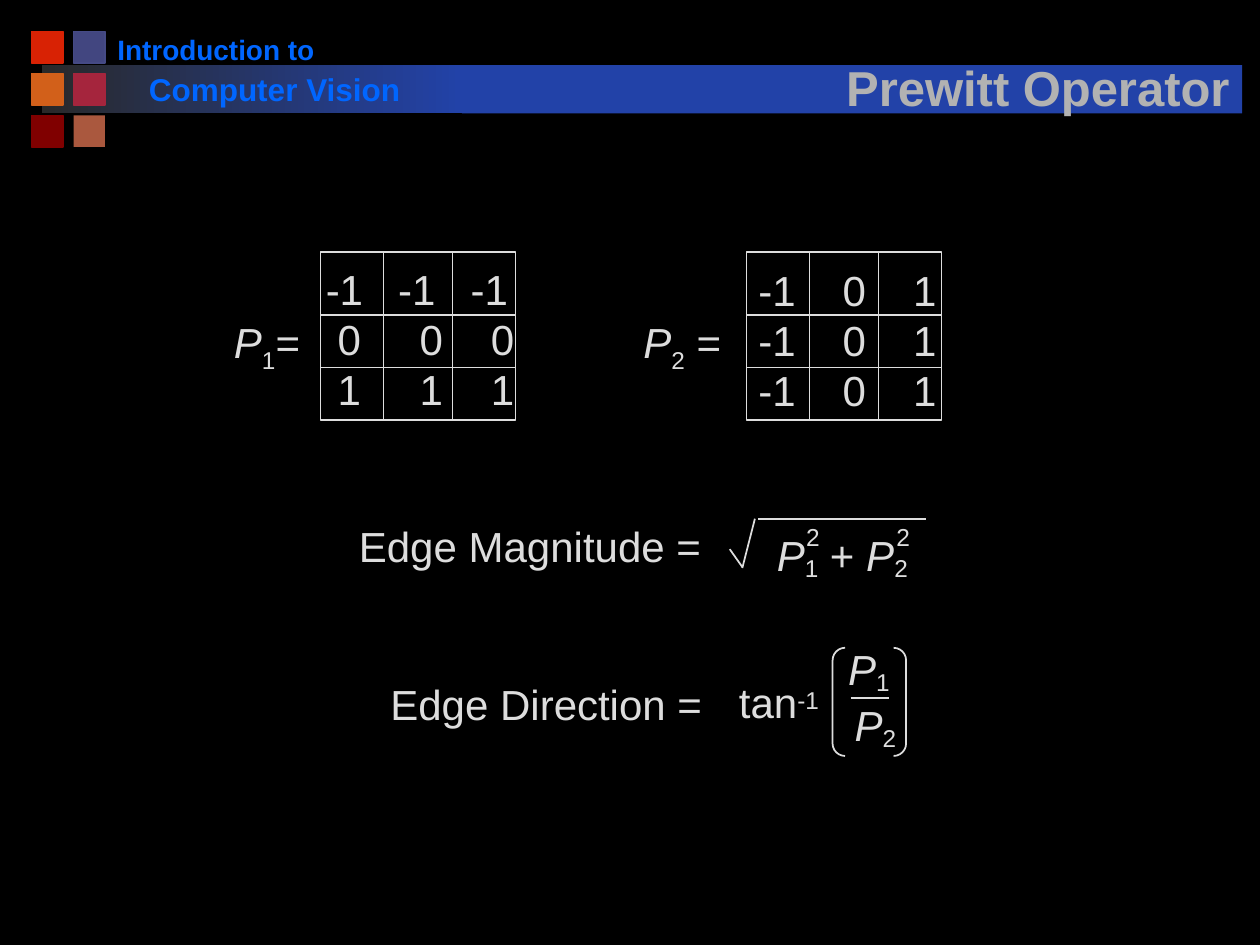
from lxml import etree
from pptx import Presentation
from pptx import util as u
from pptx.dml.color import RGBColor
from pptx.enum import shapes, text
from pptx.oxml.ns import qn

COLORS = {
    "background": "000000", "ink": "DDDDDD", "title": "B2B2B2", "course": "0066FF",
    "band": "2242A8", "band_start": "292929",
}
# Fill and outline of the header squares, row by row
SQUARES = [
    [("D82204", "D82204"), ("424680", "454A85")],
    [("D2601A", "D2601A"), ("A5253D", "A5253D")],
    [("800000", "800000"), ("AA583E", None)],
]
FONT = "Arial"
COLUMNS, ROWS = 120, 90
WIDTH, HEIGHT = u.Inches(10), u.Inches(7.5)

MAIN = {}
ITALIC = {"italic": True}


def across(columns):
    return round(WIDTH * columns / COLUMNS)


def down(rows):
    return round(HEIGHT * rows / ROWS)


def place(box):
    left, top, width, height = box
    return across(left), down(top), across(width), down(height)


def rgb(value):
    return RGBColor.from_string(value)


def add_block(slide, box, fill=None, line=None, weight=1, kind=shapes.MSO_SHAPE.RECTANGLE):
    shape = slide.shapes.add_shape(kind, *place(box))
    shape.shadow.inherit = False
    if fill:
        shape.fill.solid()
        shape.fill.fore_color.rgb = rgb(fill)
    else:
        shape.fill.background()
    if line:
        shape.line.color.rgb = rgb(line)
        shape.line.width = u.Pt(weight)
    else:
        shape.line.fill.background()
    return shape


def add_line(slide, x1, y1, x2, y2, weight=1):
    connector = slide.shapes.add_connector(
        shapes.MSO_CONNECTOR.STRAIGHT, across(x1), down(y1), across(x2), down(y2))
    connector.line.color.rgb = rgb(COLORS["ink"])
    connector.line.width = u.Pt(weight)
    etree.SubElement(connector._element.spPr, qn("a:effectLst"))


def add_run(paragraph, words, size=24, color="ink", bold=False, italic=False, baseline=0):
    run = paragraph.add_run()
    run.text = words
    run.font.name = FONT
    run.font.size = u.Pt(size)
    run.font.bold = bold
    run.font.italic = italic
    run.font.color.rgb = rgb(COLORS[color])
    if baseline:
        run.font._element.set("baseline", str(baseline * 1000))
    return run


def add_text(slide, box, runs, wrap=False):
    """Place one line of text; runs are (words, style) pairs."""
    shape = slide.shapes.add_textbox(*place(box))
    frame = shape.text_frame
    frame.word_wrap = wrap
    frame.auto_size = text.MSO_AUTO_SIZE.SHAPE_TO_FIT_TEXT
    for words, style in runs:
        add_run(frame.paragraphs[0], words, **style)
    return shape


def symbol(index, baseline):
    return [("P", ITALIC), (index, {"baseline": baseline})]


def add_text_shadow(run):
    effects = etree.SubElement(run.font._element, qn("a:effectLst"))
    shadow = etree.SubElement(effects, qn("a:outerShdw"), dist="35921", dir="2700000")
    etree.SubElement(shadow, qn("a:srgbClr"), val=COLORS["background"])
    fill = run.font._element.find(qn("a:solidFill"))
    fill.addnext(effects)


def header(slide, left, top):
    # Fading start of the band
    fade = add_block(slide, (left + 1, top + 3.2, 40, 4.6), COLORS["band"])
    fade.fill.gradient()
    fade.fill.gradient_angle = 0
    for stop, name in zip(fade.fill.gradient_stops, ("band_start", "band")):
        stop.color.rgb = rgb(COLORS[name])
    # Coloured squares
    for row, pair in enumerate(SQUARES):
        for column, (fill, line) in enumerate(pair):
            add_block(slide, (left + 4 * column, top + 4 * row, 3, 3), fill, line)
    # Course name
    course = {"color": "course", "bold": True}
    add_text(slide, (left + 7, top - 0.5, 21.2, 4.4), [("Introduction to", {"size": 16, **course})])
    add_text(slide, (left + 10, top + 3.1, 30.4, 4.8),
             [("Computer Vision", {"size": 18, **course})], wrap=True)
    # Solid band and title
    add_block(slide, (left + 41, top + 3.2, 74.3, 4.6), COLORS["band"])
    title = slide.shapes.add_textbox(*place((left + 76.3, top + 0.7, 39.1, 8)))
    frame = title.text_frame
    frame.word_wrap = False
    frame.vertical_anchor = text.MSO_ANCHOR.BOTTOM
    paragraph = frame.paragraphs[0]
    paragraph.alignment = text.PP_ALIGN.CENTER
    add_text_shadow(add_run(paragraph, "Prewitt Operator", 28, "title", bold=True))


def mask(slide, box, values, stops, text_offset):
    """Draw a 3 by 3 mask; stops gives each row's right-aligned tab stops in columns."""
    left, top, width, height = box
    dx, dy = text_offset
    shape = slide.shapes.add_textbox(*place((left + dx, top + dy, 21, 15.6)))
    frame = shape.text_frame
    frame.word_wrap = True
    for index, row in enumerate(values):
        paragraph = frame.paragraphs[0] if index == 0 else frame.add_paragraph()
        paragraph.line_spacing = u.Pt(28.6)
        tabs = etree.SubElement(paragraph._p.get_or_add_pPr(), qn("a:tabLst"))
        for stop in stops[index]:
            etree.SubElement(tabs, qn("a:tab"), pos=str(across(stop)), algn="r")
        add_run(paragraph, "".join("\t" + value for value in row))
    # Frame and inner rules
    add_block(slide, box, line=COLORS["ink"], weight=0.75)
    for y in (top + 6, top + 11):
        add_line(slide, left, y, left + width, y, 0.75)
    for x in (left + 6, left + 12.6):
        add_line(slide, x, top, x, top + height, 0.75)


def magnitude(slide, left, top):
    add_text(slide, (left, top, 36.1, 6), [("Edge Magnitude =", MAIN)])
    # Sum of squares
    add_text(slide, (left + 39.8, top + 0.8, 15.2, 6),
             symbol("1", -15) + [(" + ", MAIN)] + symbol("2", -15))
    for x in (42.6, 51.2):
        add_text(slide, (left + x, top + 0.1, 3.7, 4), [("2", {"size": 14})])
    # Root sign
    for x1, y1, x2, y2 in ((39.2, 0.4, 55.2, 0.4), (38.9, 0.4, 37.7, 5.1), (36.5, 3.3, 37.7, 5)):
        add_line(slide, left + x1, top + y1, left + x2, top + y2)


def direction(slide, left, top):
    add_text(slide, (left, top, 33.2, 6), [("Edge Direction =", MAIN)])
    add_text(slide, (left + 33.2, top - 0.2, 10.3, 6), [("tan", MAIN), ("-1", {"baseline": 20})])
    # Fraction in brackets
    add_text(slide, (left + 43.6, top - 3.3, 6.6, 6), symbol("1", -15))
    add_line(slide, left + 45, top + 2.5, left + 48.7, top + 2.5)
    add_text(slide, (left + 44.2, top + 2, 6.6, 6), symbol("2", -15))
    bracket = add_block(slide, (left + 43.3, top - 2.3, 7, 10.3), line=COLORS["ink"],
                        kind=shapes.MSO_SHAPE.DOUBLE_BRACKET)
    bracket.adjustments[0] = 0.17


def main():
    presentation = Presentation()
    presentation.slide_width, presentation.slide_height = WIDTH, HEIGHT
    slide = presentation.slides.add_slide(presentation.slide_layouts[6])
    slide.background.fill.solid()
    slide.background.fill.fore_color.rgb = rgb(COLORS["background"])

    header(slide, 3, 3)
    # Horizontal and vertical masks
    wide = (3.4, 11.2, 18)
    mask(slide, (30.5, 24, 18.6, 16), [("-1",) * 3, ("0",) * 3, ("1",) * 3],
         [(3.6, 10.5, 17.4), wide, wide], (-0.7, 0.5))
    mask(slide, (71.1, 24, 18.6, 16), [("-1", "0", "1")] * 3,
         [(3.6, 10.3, 17)] * 3, (-0.1, 0.6))
    add_text(slide, (21.1, 29.6, 9, 6), symbol("1", -25) + [("=", MAIN)], wrap=True)
    add_text(slide, (60.1, 29.6, 13.2, 6), symbol("2", -25) + [(" =", MAIN)], wrap=True)
    # Formulas
    magnitude(slide, 33, 49)
    direction(slide, 36, 64)
    presentation.save("out.pptx")


if __name__ == "__main__":
    main()
